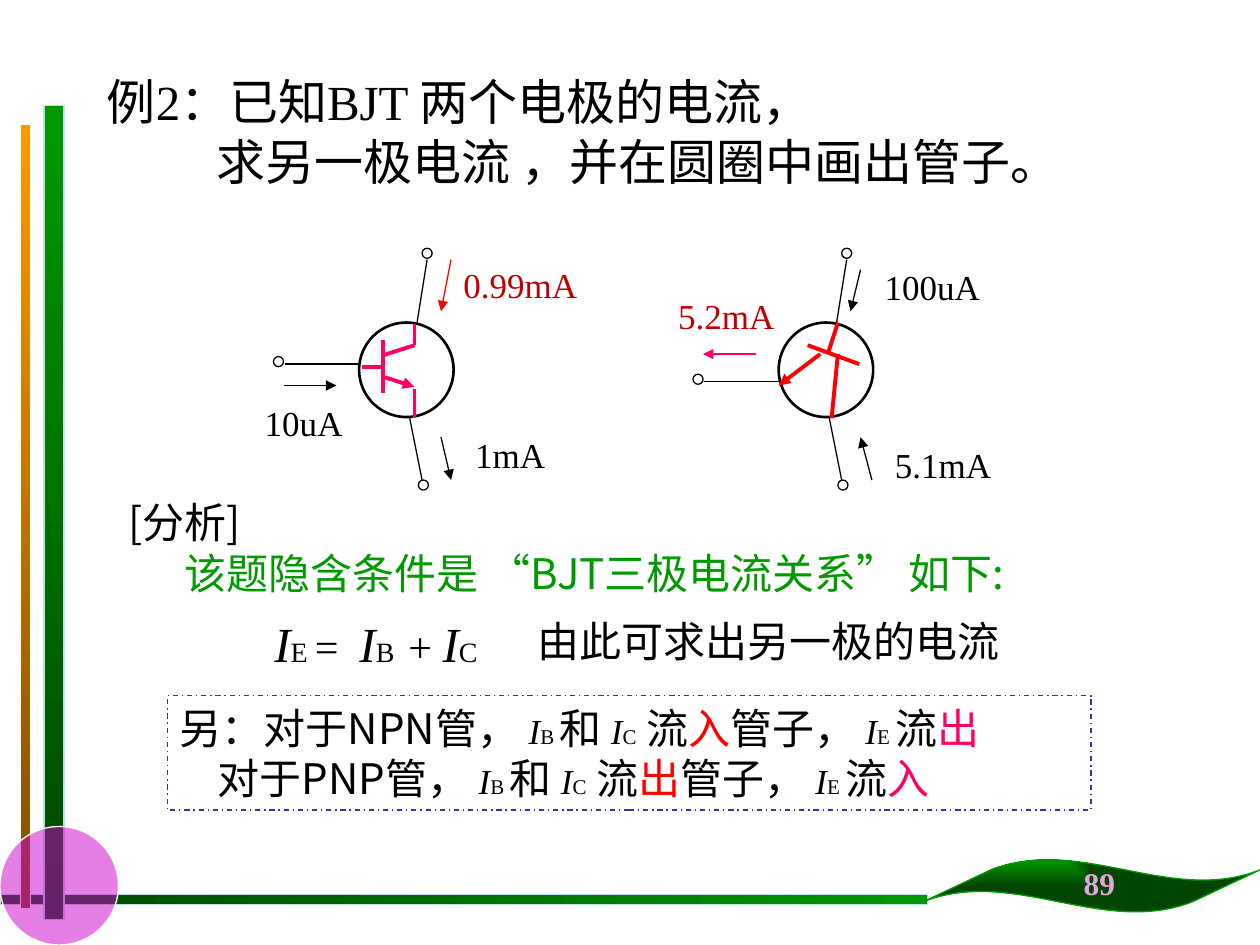
from dataclasses import dataclass
from lxml.etree import SubElement
from pptx import Presentation
from pptx.dml.color import RGBColor
from pptx.enum.dml import MSO_LINE
from pptx.enum.shapes import MSO_CONNECTOR, MSO_SHAPE
from pptx.enum.text import MSO_ANCHOR, MSO_AUTO_SIZE, PP_ALIGN
from pptx.oxml.ns import qn
from pptx.util import Inches, Pt


@dataclass(frozen=True)
class Theme:
    serif: str = "Times New Roman"
    sans: str = "Noto Sans CJK SC"
    black: str = "000000"
    white: str = "FFFFFF"
    green: str = "009900"
    dark_green: str = "004600"
    orange: str = "FF9900"
    brown: str = "804C00"
    purple: str = "CC00CC"
    pale: str = "BBE0E3"
    lilac: str = "E4A4DC"
    navy: str = "333399"
    red: str = "FF0000"
    dark_red: str = "C00000"
    pink: str = "FF0066"
    title: int = 28
    body: int = 24
    symbol: int = 20
    page: int = 18
    subscript: int = 16
    small: int = 12


theme = Theme()


def run(text, size=theme.body, font=theme.sans, color=theme.black, spacing=0, **format_values):
    return text, dict(size=Pt(size), name=font, **format_values), color, spacing


def serif(text, size, **options):
    return run(text, size, theme.serif, **options)


def current(letter, symbol_size, letter_size, **options):
    return [serif("I", symbol_size, italic=True), serif(letter, letter_size, **options)]


def flow_rule(opening, base_flow, emitter_flow):
    return [run(opening), *current("B ", theme.symbol, theme.small), run("和 "),
            *current("C", theme.symbol, theme.small), run(" 流"),
            run(base_flow, color=theme.red), run("管子， "),
            *current("E ", theme.symbol, theme.small), run("流"),
            run(emitter_flow, color=theme.pink)]


TITLE = [(0, [serif("例2：已知BJT 两个电极的电流，", theme.title)]),
         (0.87, [serif("求另一极电流 ，并在圆圈中画出管子。", theme.title)])]
ANALYSIS = [(0, [run("[分析]")]),
            (0.45, [run("该题隐含条件是 ", color=theme.green),
                    serif("“", theme.body, color=theme.green),
                    run("BJT三极电流关系", color=theme.green),
                    serif("”", theme.body, color=theme.green),
                    run(" 如下:", color=theme.green)])]
EQUATION = [(0, [*current("E ", theme.title, theme.subscript),
                 serif("= ", theme.body, spacing=300),
                 *current("B ", theme.title, theme.subscript, spacing=200),
                 serif("+ ", theme.body),
                 *current("C", theme.title, theme.subscript)])]
CONCLUSION = [(0, [run("由此可求出另一极的电流")])]
RULES = [(0, flow_rule("另：对于NPN管， ", "入", "出")),
         (0.3, flow_rule("对于PNP管， ", "出", "入"))]
PAGE = [serif("89", theme.page, color=theme.lilac, bold=True)]

READINGS = [
    ("10uA", (2, 3.14, 0.82, 0.43), theme.black, (2.25, 3.06, 2.67, 3.06), theme.black),
    ("1mA", (3.67, 3.39, 0.76, 0.43), theme.black, (3.5, 3.47, 3.58, 3.81), theme.black),
    ("0.99mA", (3.53, 2.04, 1.2, 0.43), theme.dark_red, (3.58, 2.06, 3.5, 2.47), theme.red),
    ("5.1mA", (7, 3.47, 0.97, 0.43), theme.black, (6.92, 3.81, 6.83, 3.47), theme.black),
    ("100uA", (6.92, 2.06, 0.96, 0.43), theme.black, (6.83, 2.14, 6.75, 2.47), theme.black),
    ("5.2mA", (5.28, 2.29, 0.97, 0.43), theme.dark_red, (6, 2.81, 5.58, 2.81), theme.pink),
]
CIRCUITS = [(2.85, 2.89), (6.18, 3.03)]
TRANSISTORS = [
    (theme.pink, (3.04, 2.99, 3.29, 3.07),
     [(3.04, 2.7, 3.04, 3.12), (3.29, 2.74, 3.04, 2.82), (3.04, 2.91, 2.87, 2.91),
      (3.29, 2.74, 3.29, 2.57), (3.29, 3.09, 3.29, 3.32)]),
    (theme.red, (6.51, 2.81, 6.18, 3.06),
     [(6.41, 2.74, 6.82, 2.89), (6.65, 2.81, 6.6, 3.32), (6.57, 2.81, 6.65, 2.56)]),
]

deck = Presentation()
deck.slide_width, deck.slide_height = Inches(10), Inches(7.5)
page = deck.slides.add_slide(deck.slide_layouts[6])


def rgb(value):
    return RGBColor.from_string(value)


def apply(target, format_values):
    for name, value in format_values.items():
        setattr(target, name, value)


def add_shape(kind, place, fill=None, line=None, width=0.75):
    shape = page.shapes.add_shape(kind, *map(Inches, place))
    shape.shadow.inherit = False
    if isinstance(fill, tuple):
        shape.fill.gradient()
        for stop, color in zip(shape.fill.gradient_stops, fill):
            stop.color.rgb = rgb(color)
    elif fill:
        shape.fill.solid()
        shape.fill.fore_color.rgb = rgb(fill)
    else:
        shape.fill.background()
    if line:
        shape.line.color.rgb = rgb(line)
        shape.line.width = Pt(width)
    else:
        shape.line.fill.background()
    return shape


def add_line(ends, color=theme.black, width=0.75, arrow=False):
    line = page.shapes.add_connector(MSO_CONNECTOR.STRAIGHT, *map(Inches, ends))
    line.line.color.rgb = rgb(color)
    line.line.width = Pt(width)
    if arrow:
        SubElement(line.line._get_or_add_ln(), qn("a:tailEnd"), type="triangle")
    SubElement(line._element.spPr, qn("a:effectLst"))


def write(box, paragraphs, pitch=None, align=PP_ALIGN.LEFT, wrap=True):
    frame = box.text_frame
    fit = MSO_AUTO_SIZE.NONE if wrap else MSO_AUTO_SIZE.SHAPE_TO_FIT_TEXT
    apply(frame, dict(word_wrap=wrap, vertical_anchor=MSO_ANCHOR.TOP, auto_size=fit))
    for index, (indent, runs) in enumerate(paragraphs):
        para = frame.add_paragraph() if index else frame.paragraphs[0]
        para.alignment = align
        if pitch:
            para.line_spacing = Pt(pitch)
        if indent:
            para._p.get_or_add_pPr().set("marL", str(Inches(indent)))
        for text, format_values, color, spacing in runs:
            span = para.add_run()
            span.text = text
            apply(span.font, format_values)
            span.font.color.rgb = rgb(color)
            properties = span._r.get_or_add_rPr()
            SubElement(properties, qn("a:ea"), typeface=theme.sans)
            if spacing:
                properties.set("spc", str(spacing))


def add_text(place, paragraphs, **options):
    write(page.shapes.add_textbox(*map(Inches, place)), paragraphs, **options)


def add_label(place, runs):
    add_text(place, [(0, runs)], align=PP_ALIGN.CENTER, wrap=False)


def add_decoration():
    greens = (theme.green, theme.dark_green)
    bars = [((0, 7.1, 7.36, 0.08), greens[::-1], 0, theme.pale, 0.75),
            ((0.35, 0.84, 0.16, 6.46), greens, 270, theme.pale, 0.75),
            ((0.16, 0.99, 0.08, 6.22), (theme.orange, theme.brown), 270, theme.white, 0.5)]
    for place, colors, angle, line, width in bars:
        bar = add_shape(MSO_SHAPE.RECTANGLE, place, colors, line, width)
        bar.fill.gradient_angle = angle
    disc = add_shape(MSO_SHAPE.OVAL, (0, 6.56, 0.94, 0.94), theme.purple, theme.white)
    tint = disc._element.spPr.find(qn("a:solidFill"))[0]
    SubElement(tint, qn("a:alpha"), val="50000")
    leaf = add_shape(MSO_SHAPE.WAVE, (7.33, 6.82, 2.67, 0.42), greens, theme.green)
    leaf.adjustments[0], leaf.adjustments[1] = 0.206, -0.1
    gradient = leaf._element.spPr.find(qn("a:gradFill"))
    gradient.remove(gradient.find(qn("a:lin")))
    center = SubElement(gradient, qn("a:path"), path="rect")
    SubElement(center, qn("a:fillToRect"), l="0", t="0", r="100000", b="100000")


def add_circuit(left, base):
    add_shape(MSO_SHAPE.OVAL, (left, 2.56, 0.75, 0.75), line=theme.black, width=1.5)
    for ends in [(left + 0.4, 3.31, left + 0.5, 3.81), (left + 0.54, 2.06, left + 0.46, 2.56),
                 (left, base, left - 0.59, base)]:
        add_line(ends)
    for x, y in [(left + 0.47, 3.81), (left + 0.5, 1.97), (left - 0.68, base - 0.06)]:
        add_shape(MSO_SHAPE.OVAL, (x, y, 0.08, 0.08), line=theme.black)


add_decoration()
write(add_shape(MSO_SHAPE.RECTANGLE, (0.75, 0.52, 8.33, 1.04), theme.white), TITLE, pitch=33.8)
for circuit in CIRCUITS:
    add_circuit(*circuit)
for text, place, color, arrow, arrow_color in READINGS:
    add_line(arrow, arrow_color, arrow=True)
    add_label(place, [serif(text, theme.symbol, color=color)])
add_text((0.92, 3.89, 7.94, 0.91), ANALYSIS, pitch=29)
add_text((2.08, 4.82, 1.81, 0.57), EQUATION, wrap=False)
add_text((4.17, 4.83, 3.9, 0.51), CONCLUSION, pitch=29)
frame_box = add_shape(MSO_SHAPE.RECTANGLE, (1.33, 5.52, 7.33, 0.91), line=theme.navy)
frame_box.line.dash_style = MSO_LINE.DASH_DOT
write(frame_box, RULES, pitch=29)
for color, emitter, strokes in TRANSISTORS:
    add_line(emitter, color, 2.25, arrow=True)
    for stroke in strokes:
        add_line(stroke, color, 2.25)
add_label((8.5, 6.81, 0.45, 0.4), PAGE)

deck.save("out.pptx")
